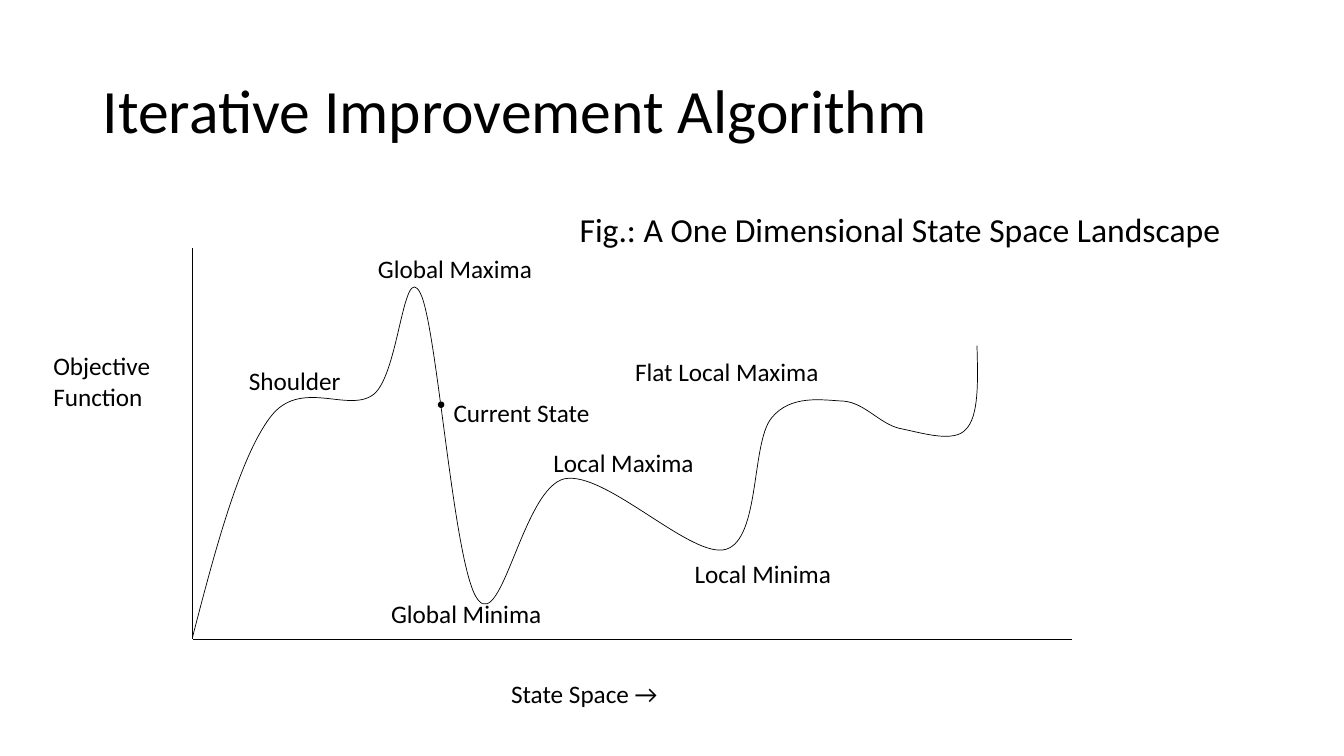
import pptx
import pptx.dml.color
import pptx.enum.shapes
import pptx.enum.text
import pptx.oxml.ns
import pptx.util
from lxml import etree

CELL = pptx.util.Inches(0.01)  # the slide is a grid of 1333 by 750 cells
INK = "000000"
qn = pptx.oxml.ns.qn


def color(hex_code):
    return pptx.dml.color.RGBColor.from_string(hex_code)


def write(frame, text, size, frame_format):
    """Fill a text frame with one paragraph and return that paragraph."""
    for name, value in frame_format.items():
        setattr(frame, name, value)
    frame.text = text
    paragraph = frame.paragraphs[0]
    paragraph.alignment = pptx.enum.text.PP_ALIGN.LEFT
    font = paragraph.runs[0].font
    for name, value in {"name": "Calibri", "size": pptx.util.Pt(size)}.items():
        setattr(font, name, value)
    font.color.rgb = color(INK)
    return paragraph


deck = pptx.Presentation()
deck.slide_width, deck.slide_height = 1333 * CELL, 750 * CELL
slide = deck.slides.add_slide(deck.slide_layouts[5])
shapes = slide.shapes

# Title
title = shapes.title
for name, cells in {"left": 92, "top": 40, "width": 1150, "height": 145}.items():
    setattr(title, name, cells * CELL)
heading = write(title.text_frame, "Iterative Improvement Algorithm", 44, {
    "vertical_anchor": pptx.enum.text.MSO_ANCHOR.MIDDLE,
    "auto_size": pptx.enum.text.MSO_AUTO_SIZE.NONE,
})
heading.line_spacing = 0.9

# Axes meet at the origin
origin = (191, 634)
for axis_end in [(191, 246), (1063, 634)]:
    axis = shapes.add_connector(
        pptx.enum.shapes.MSO_CONNECTOR.STRAIGHT,
        *(cells * CELL for cells in axis_end + origin))
    axis.line.color.rgb = color(INK)
    axis.line.width = pptx.util.Pt(0.5)
    etree.SubElement(axis.element.spPr, qn("a:effectLst"))

# Landscape: each bend is two control points and the point it ends on
start = (191, 632)
bends = [
    ((214, 543), (238, 454), (268, 414)),
    ((298, 374), (346, 411), (371, 391)),
    ((396, 370), (400, 257), (417, 291)),
    ((434, 325), (450, 565), (474, 595)),
    ((498, 626), (519, 484), (560, 475)),
    ((601, 467), (686, 555), (720, 545)),
    ((754, 535), (745, 440), (765, 415)),
    ((784, 391), (816, 397), (837, 398)),
    ((858, 400), (872, 420), (892, 425)),
    ((913, 429), (946, 440), (958, 426)),
    ((971, 413), (970, 378), (969, 343)),
]
knots = [start] + [bend[-1] for bend in bends]
left, top = (min(values) for values in zip(*knots))
builder = shapes.build_freeform(*start, scale=float(CELL))
builder.add_line_segments(knots[1:], close=False)
landscape = builder.convert_to_shape()
landscape.shadow.inherit = False
landscape.fill.background()
landscape.line.color.rgb = color(INK)
landscape.line.width = pptx.util.Pt(0.5)
segments = list(landscape.element.iter(qn("a:lnTo")))
for segment, bend in zip(segments, bends):
    segment.tag = qn("a:cubicBezTo")
    for place, (x, y) in enumerate(bend[:2]):
        control = etree.Element(qn("a:pt"), x=str(x - left), y=str(y - top))
        segment.insert(place, control)

# Current state on the landscape
state = shapes.add_shape(
    pptx.enum.shapes.MSO_SHAPE.OVAL, 435 * CELL, 399 * CELL, 5 * CELL, 5 * CELL)
state.shadow.inherit = False
state.fill.solid()
state.fill.fore_color.rgb = color(INK)
state.line.color.rgb = color(INK)
state.line.width = pptx.util.Pt(1)

# Labels: text, left, top, width, height, size, wraps
labels = [
    ("Objective Function", 43, 343, 129, 71, 18, True),
    ("State Space →", 497, 668, 328, 40, 18, True),
    ("Shoulder", 237, 358, 120, 40, 18, True),
    ("Global Maxima", 365, 246, 175, 40, 18, False),
    ("Global Minima", 378, 589, 171, 40, 18, False),
    ("Local Maxima", 539, 439, 161, 40, 18, False),
    ("Flat Local Maxima", 620, 349, 204, 40, 18, False),
    ("Local Minima", 679, 549, 157, 40, 18, False),
    ("Fig.: A One Dimensional State Space Landscape", 565, 202, 661, 50, 24, False),
    ("Current State", 440, 389, 156, 40, 18, False),
]
for text, *box, size, wraps in labels:
    label = shapes.add_textbox(*(cells * CELL for cells in box))
    write(label.text_frame, text, size, {
        "word_wrap": wraps,
        "auto_size": pptx.enum.text.MSO_AUTO_SIZE.SHAPE_TO_FIT_TEXT,
    })

deck.save("out.pptx")
